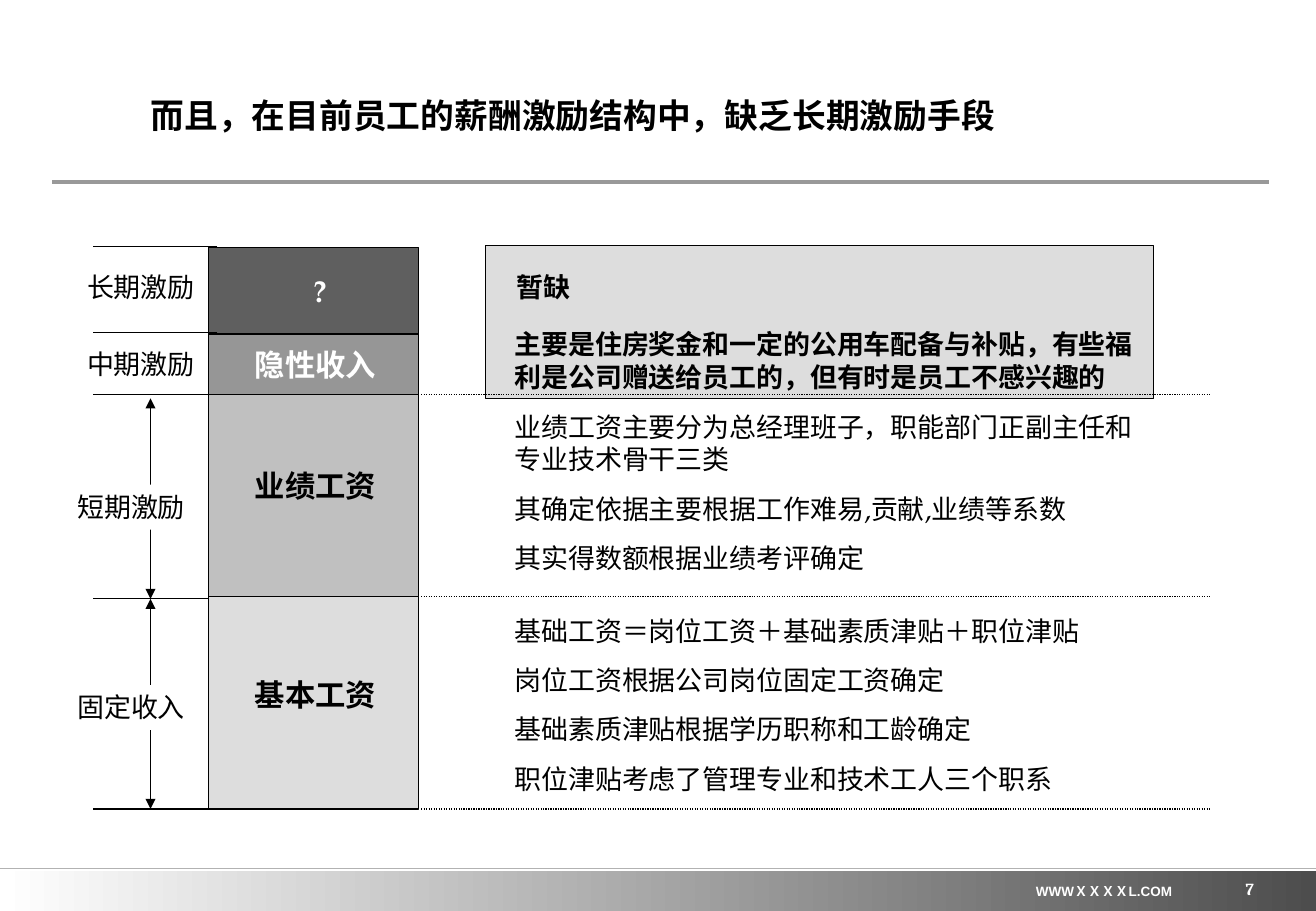
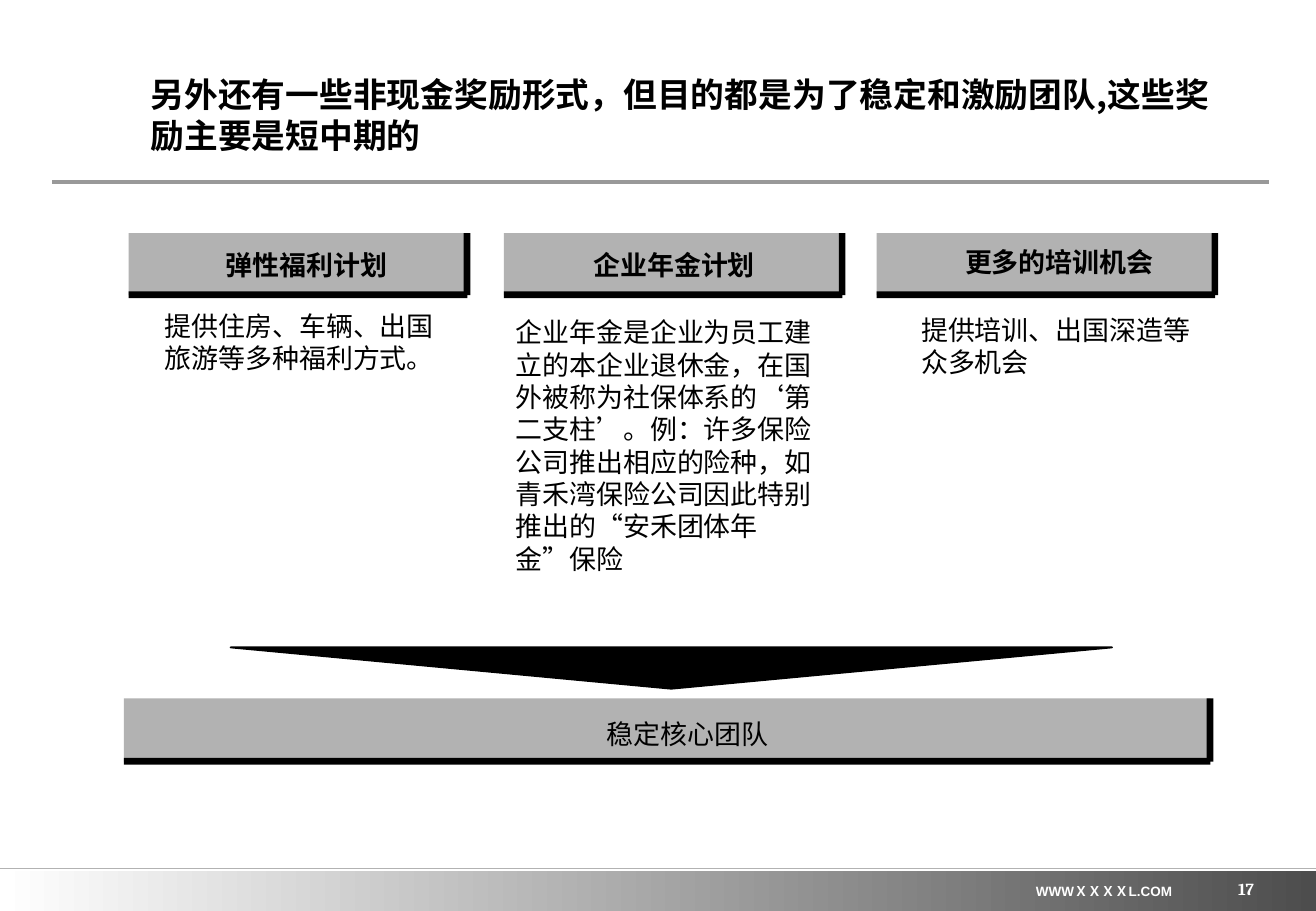
from dataclasses import dataclass
from typing import Optional

import lxml.etree
import pptx
import pptx.dml.color
import pptx.enum.dml
import pptx.enum.lang
import pptx.enum.shapes
import pptx.enum.text
import pptx.oxml.ns
import pptx.util

ALIGN = pptx.enum.text.PP_ALIGN
ANCHOR = pptx.enum.text.MSO_ANCHOR
qn = pptx.oxml.ns.qn

# The grid has square cells of a tenth of an inch
COLUMNS, ROWS = 108.4, 75


@dataclass(frozen=True)
class Theme:
    black: str = "000000"
    white: str = "FFFFFF"
    charcoal: str = "5F5F5F"
    gray: str = "969696"
    silver: str = "C0C0C0"
    pale: str = "DDDDDD"
    block: str = "B2B2B2"
    title_rule: str = "999999"
    footer_end: str = "4D4D4D"
    chinese: str = "Noto Sans CJK SC"
    serif: str = "TeX Gyre Pagella"
    roman: str = "Times New Roman"
    footer_font: str = "Arial"
    number_font: str = "Cambria"
    title_size: float = 20
    level_size: float = 18
    body_size: float = 16
    number_size: float = 10
    footer_size: float = 8
    paragraph_gap: float = 10
    hairline: float = 0.75


THEME = Theme()


@dataclass(frozen=True)
class Area:
    col: float
    row: float
    cols: float
    rows: float

    def emu(self) -> list[int]:
        return [cells(n) for n in (self.col, self.row, self.cols, self.rows)]


@dataclass(frozen=True)
class Style:
    font: str = THEME.serif
    size: float = THEME.body_size
    color: str = THEME.black
    bold: bool = False
    align: ALIGN = ALIGN.LEFT
    anchor: ANCHOR = ANCHOR.TOP
    side_inset: float = 1
    end_inset: float = 0.5


@dataclass(frozen=True)
class Level:
    pay: str
    top: float
    bottom: float
    fill: str
    color: str
    pay_col: float
    pay_row: float
    horizon: str
    horizon_col: float
    horizon_row: float
    tick: float


@dataclass(frozen=True)
class Explanation:
    area: Area
    lines: tuple[str, ...]
    bold: bool = False


@dataclass(frozen=True)
class Reward:
    col: float
    name: str
    name_area: Area
    detail: str
    detail_area: Area


# Text styles; one-line labels use the full width of their area
TITLE = Style(THEME.chinese, THEME.title_size, bold=True, anchor=ANCHOR.MIDDLE,
              side_inset=0, end_inset=0)
HORIZON = Style(align=ALIGN.CENTER, side_inset=0)
REWARD_NAME = Style(THEME.chinese, bold=True, align=ALIGN.CENTER, side_inset=0)
REWARD_DETAIL = Style(THEME.roman)
CONCLUSION = Style(THEME.roman, align=ALIGN.CENTER, side_inset=0)
SITE = Style(THEME.footer_font, THEME.footer_size, THEME.white, True, ALIGN.CENTER,
             side_inset=0)
PAGE_NUMBER = Style(THEME.number_font, THEME.number_size, THEME.white, True,
                    ALIGN.RIGHT, ANCHOR.BOTTOM, side_inset=0, end_inset=0)

# Slide 1 content
LEVELS = (
    Level("?", 20.4, 27.5, THEME.charcoal, THEME.white, 20.4, 21.9, "长期激励", 6.2, 21.8, 20.3),
    Level("隐性收入", 27.5, 32.5, THEME.gray, THEME.white, 20, 28, "中期激励", 6.2, 28.1, 27.4),
    Level("业绩工资", 32.5, 49.1, THEME.silver, THEME.black, 20, 38, "短期激励", 5.4, 39.9, 32.5),
    Level("基本工资", 49.1, 66.6, THEME.pale, THEME.black, 20, 55.2, "固定收入", 5.4, 56.4, 49.3),
)
EXPLANATIONS = (
    Explanation(Area(41.6, 21.8, 60.8, 3.7), ("暂缺",), True),
    Explanation(Area(41.4, 26.5, 53.6, 6.4), (
        "主要是住房奖金和一定的公用车配备与补贴，有些福利是公司赠送给员工的，但有时是员工不感兴趣的",), True),
    Explanation(Area(41.4, 33.3, 53.6, 14.5), (
        "业绩工资主要分为总经理班子，职能部门正副主任和专业技术骨干三类",
        "其确定依据主要根据工作难易,贡献,业绩等系数",
        "其实得数额根据业绩考评确定")),
    Explanation(Area(41.4, 50.1, 60.8, 15.9), (
        "基础工资＝岗位工资＋基础素质津贴＋职位津贴",
        "岗位工资根据公司岗位固定工资确定",
        "基础素质津贴根据学历职称和工龄确定",
        "职位津贴考虑了管理专业和技术工人三个职系")),
)

# Slide 2 content
REWARDS = (
    Reward(10.6, "弹性福利计划", Area(17.6, 20, 15.3, 3.7),
           "提供住房、车辆、出国旅游等多种福利方式。", Area(12.6, 25, 26.2, 6.4)),
    Reward(41.5, "企业年金计划", Area(47.9, 20, 15.3, 3.7),
           "企业年金是企业为员工建立的本企业退休金，在国外被称为社保体系的‘第二支柱’。"
           "例：许多保险公司推出相应的险种，如青禾湾保险公司因此特别推出的“安禾团体年金”保险",
           Area(41.5, 25.5, 27.1, 22.4)),
    Reward(72.2, "更多的培训机会", Area(78.5, 19.7, 17.5, 3.7),
           "提供培训、出国深造等众多机会", Area(74.9, 25.3, 25.3, 6.4)),
)


def cells(count: float) -> int:
    return pptx.util.Inches(count / 10)


def rgb(value: str) -> pptx.dml.color.RGBColor:
    return pptx.dml.color.RGBColor.from_string(value)


def draw_rect(slide, area: Area, fill: str, outlined: bool = False):
    rect = slide.shapes.add_shape(pptx.enum.shapes.MSO_SHAPE.RECTANGLE, *area.emu())
    rect.shadow.inherit = False
    rect.fill.solid()
    rect.fill.fore_color.rgb = rgb(fill)
    if outlined:
        rect.line.color.rgb = rgb(THEME.black)
        rect.line.width = pptx.util.Pt(THEME.hairline)
    else:
        rect.line.fill.background()
    return rect


def draw_line(slide, start: tuple[float, float], end: tuple[float, float],
              color: str = THEME.black, width: float = THEME.hairline,
              dotted: bool = False, arrows: bool = False) -> None:
    line = slide.shapes.add_connector(pptx.enum.shapes.MSO_CONNECTOR.STRAIGHT,
                                      *map(cells, (*start, *end)))
    line.line.color.rgb = rgb(color)
    line.line.width = pptx.util.Pt(width)
    if dotted:
        line.line.dash_style = pptx.enum.dml.MSO_LINE.ROUND_DOT
    properties = line._element.spPr
    if arrows:
        outline = properties.find(qn("a:ln"))
        for side in ("a:headEnd", "a:tailEnd"):
            lxml.etree.SubElement(outline, qn(side), type="triangle")
    lxml.etree.SubElement(properties, qn("a:effectLst"))


def write(slide, area: Area, text: str, style: Style, fill: Optional[str] = None) -> None:
    box = slide.shapes.add_textbox(*area.emu())
    if fill:
        box.fill.solid()
        box.fill.fore_color.rgb = rgb(fill)
    frame = box.text_frame
    frame.text = text
    frame.word_wrap = True
    frame.vertical_anchor = style.anchor
    frame.margin_left = frame.margin_right = cells(style.side_inset)
    frame.margin_top = frame.margin_bottom = cells(style.end_inset)
    for index, paragraph in enumerate(frame.paragraphs):
        paragraph.alignment = style.align
        if index:
            paragraph.space_before = pptx.util.Pt(THEME.paragraph_gap)
        for run in paragraph.runs:
            run.font.size = pptx.util.Pt(style.size)
            run.font.bold = style.bold
            run.font.color.rgb = rgb(style.color)
            run.font.name = style.font
            run.font.language_id = pptx.enum.lang.MSO_LANGUAGE_ID.SIMPLIFIED_CHINESE
            lxml.etree.SubElement(run._r.rPr, qn("a:ea"), typeface=THEME.chinese)


def add_framed_slide(deck, title: str, title_cols: float, number: int):
    """Add a slide with the shared title, rules and footer."""
    slide = deck.slides.add_slide(deck.slide_layouts[6])
    footer = draw_rect(slide, Area(0, 71.7, COLUMNS, ROWS - 71.7), THEME.white)
    footer.fill.gradient()
    footer.fill.gradient_angle = 0
    for stop, color in zip(footer.fill.gradient_stops, (THEME.white, THEME.footer_end)):
        stop.color.rgb = rgb(color)
    draw_line(slide, (4.3, 15), (104.5, 15), THEME.title_rule, 2.5)
    draw_line(slide, (0, 71.5), (COLUMNS, 71.5), THEME.block, 1)
    write(slide, Area(84.1, 72.2, 13.7, 2.4), "WWWＸＸＸＸL.COM", SITE)
    write(slide, Area(12.4, 5.8, title_cols, 7.3), title, TITLE)
    write(slide, Area(80.7, 70.7, 22.6, 3.3), str(number), PAGE_NUMBER)
    return slide


def draw_raised_block(slide, area: Area) -> None:
    """Draw a gray block with a black edge below and at the right."""
    overlap, thickness = 0.3, 0.55
    draw_rect(slide, area, THEME.block)
    draw_rect(slide, Area(area.col, area.row + area.rows - overlap, area.cols, thickness),
              THEME.black)
    draw_rect(slide, Area(area.col + area.cols - overlap, area.row, thickness, area.rows),
              THEME.black)


def build_pay_structure(deck) -> None:
    slide = add_framed_slide(deck, "而且，在目前员工的薪酬激励结构中，缺乏长期激励手段", 91, 7)
    stack_col, stack_cols, axis_col = 17.2, 17.3, 12.4
    stack_end, fixed_tick = LEVELS[-1].bottom, LEVELS[-1].tick

    # Panel behind the upper explanations, and the stack of pay levels
    draw_rect(slide, Area(40, 20.2, 55, 12.6), THEME.pale, outlined=True)
    for level in LEVELS:
        draw_rect(slide, Area(stack_col, level.top, stack_cols, level.bottom - level.top),
                  level.fill, outlined=True)
        write(slide, Area(level.pay_col, level.pay_row, 12, 4), level.pay,
              Style(size=THEME.level_size, color=level.color, bold=True,
                    align=ALIGN.CENTER, side_inset=0))

    # Dotted separators and axis ticks
    for level in LEVELS[1:]:
        draw_line(slide, (34.7, level.bottom), (99.7, level.bottom), dotted=True)
    for tick in (*(level.tick for level in LEVELS), stack_end):
        draw_line(slide, (17.1 if tick == fixed_tick else 17.9, tick), (7.7, tick))

    # Time spans and their labels
    for top, bottom in ((32.8, fixed_tick), (fixed_tick, stack_end)):
        draw_line(slide, (axis_col, top), (axis_col, bottom), arrows=True)
    for level in LEVELS:
        write(slide, Area(level.horizon_col, level.horizon_row, 10.8, 3.7),
              level.horizon, HORIZON, THEME.white)

    for explanation in EXPLANATIONS:
        write(slide, explanation.area, "\n".join(explanation.lines),
              Style(bold=explanation.bold))


def build_noncash_rewards(deck) -> None:
    slide = add_framed_slide(
        deck, "另外还有一些非现金奖励形式，但目的都是为了稳定和激励团队,这些奖励主要是短中期的", 87.4, 17)

    # Reward columns
    for reward in REWARDS:
        draw_raised_block(slide, Area(reward.col, 19.2, 27.9, 5.1))
        write(slide, reward.name_area, reward.name, REWARD_NAME)
        write(slide, reward.detail_area, reward.detail, REWARD_DETAIL)

    # Funnel leading to the conclusion
    outline = slide.shapes.build_freeform(cells(55.3), cells(56.7))
    outline.add_line_segments([(cells(91.6), cells(53.3)), (cells(19), cells(53.3))], close=True)
    funnel = outline.convert_to_shape()
    funnel.shadow.inherit = False
    funnel.fill.solid()
    funnel.fill.fore_color.rgb = rgb(THEME.black)
    funnel.line.color.rgb = rgb(THEME.black)
    funnel.line.width = pptx.util.Pt(1.13)

    draw_raised_block(slide, Area(10.2, 57.5, 89.5, 5.2))
    write(slide, Area(49, 58.6, 15.3, 3.7), "稳定核心团队", CONCLUSION)


def main() -> None:
    deck = pptx.Presentation()
    deck.slide_width, deck.slide_height = cells(COLUMNS), cells(ROWS)
    build_pay_structure(deck)
    build_noncash_rewards(deck)
    deck.save("out.pptx")


if __name__ == "__main__":
    main()
